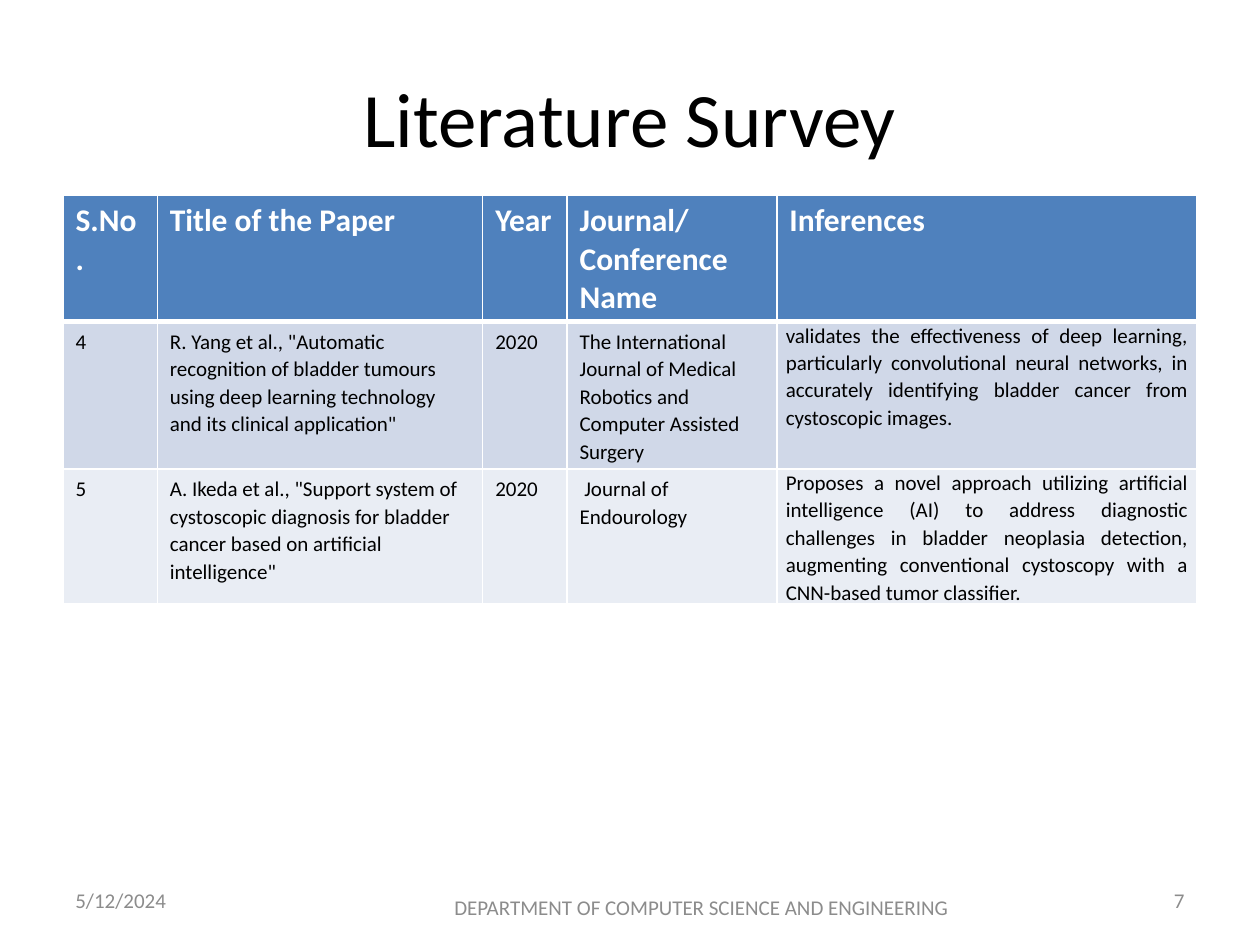
from lxml import etree
from pptx import Presentation
from pptx import util as u
from pptx.dml.color import RGBColor
from pptx.enum import text
from pptx.oxml.ns import qn

FONT = "Calibri"
LEFT, CENTER, RIGHT, JUSTIFY = (
    text.PP_ALIGN.LEFT, text.PP_ALIGN.CENTER, text.PP_ALIGN.RIGHT, text.PP_ALIGN.JUSTIFY)

TEXT_BOXES = [
    ("Literature Survey", (1.27, 0.76, 22.86, 3.18), 44, "000000", CENTER),
    ("DEPARTMENT OF COMPUTER SCIENCE AND ENGINEERING ", (8.69, 17.78, 11, 1.01), 12, "8C8C8C", CENTER),
    ("5/12/2024", (1.27, 17.65, 5.93, 1.01), 12, "8C8C8C", LEFT),
    ("7", (18.2, 17.65, 5.93, 1.01), 12, "8C8C8C", RIGHT),
]

HEADINGS = ["S.No.", "Title of the Paper", "Year", "Journal/Conference Name", "Inferences"]
PAPERS = [
    ["4",
     'R. Yang et al., "Automatic recognition of bladder tumours using deep learning technology '
     'and its clinical application"',
     "2020",
     "The International Journal of Medical Robotics and Computer Assisted Surgery",
     "validates the effectiveness of deep learning, particularly convolutional neural networks, "
     "in accurately identifying bladder cancer from cystoscopic images."],
    ["5",
     'A. Ikeda et al., "Support system of cystoscopic diagnosis for bladder cancer based on '
     'artificial intelligence"',
     "2020",
     " Journal of Endourology",
     "Proposes a novel approach utilizing artificial intelligence (AI) to address diagnostic "
     "challenges in bladder neoplasia detection, augmenting conventional cystoscopy with a "
     "CNN-based tumor classifier."],
]
COLUMN_WIDTHS = [1.9, 6.56, 1.7, 4.23, 8.47]
COLUMN_ALIGNMENTS = [JUSTIFY, LEFT, JUSTIFY, LEFT, JUSTIFY]
ROW_HEIGHTS = [1.68, 2.77, 2.54]
ROW_FILLS = ["4F81BD", "D0D8E8", "E9EDF4"]


def color(value):
    return RGBColor.from_string(value)


def style_runs(paragraph, size, value, bold=False):
    for run in paragraph.runs:
        run.font.name = FONT
        run.font.size = u.Pt(size)
        run.font.bold = bold
        run.font.color.rgb = color(value)


def add_text_box(slide, words, place, size, value, alignment):
    shape = slide.shapes.add_textbox(*map(u.Cm, place))
    frame = shape.text_frame
    frame.text = words
    frame.word_wrap = True
    frame.vertical_anchor = text.MSO_ANCHOR.MIDDLE
    frame.paragraphs[0].alignment = alignment
    style_runs(frame.paragraphs[0], size, value)


def set_borders(cell, bottom_width, top_width):
    properties = cell._tc.get_or_add_tcPr()
    widths = {"a:lnL": 1, "a:lnR": 1, "a:lnT": top_width, "a:lnB": bottom_width}
    for index, (side, width) in enumerate(widths.items()):
        line = etree.Element(qn(side), w=str(u.Pt(width)))
        fill = etree.SubElement(line, qn("a:solidFill"))
        etree.SubElement(fill, qn("a:srgbClr"), val="FFFFFF")
        properties.insert(index, line)


def add_survey_table(slide):
    rows = [HEADINGS] + PAPERS
    frame = slide.shapes.add_table(
        len(rows), len(HEADINGS), u.Cm(1.27), u.Cm(3.94),
        u.Cm(sum(COLUMN_WIDTHS)), u.Cm(sum(ROW_HEIGHTS)))
    table = frame.table
    for column, width in zip(table.columns, COLUMN_WIDTHS):
        column.width = u.Cm(width)
    for row, height in zip(table.rows, ROW_HEIGHTS):
        row.height = u.Cm(height)
    for r, row in enumerate(rows):
        for c, words in enumerate(row):
            cell = table.cell(r, c)
            cell.text_frame.text = words
            cell.fill.solid()
            cell.fill.fore_color.rgb = color(ROW_FILLS[r])
            set_borders(cell, 3 if r == 0 else 1, 3 if r == 1 else 1)
            paragraph = cell.text_frame.paragraphs[0]
            if r == 0:
                style_runs(paragraph, 18, "FFFFFF", True)
                continue
            paragraph.alignment = COLUMN_ALIGNMENTS[c]
            paragraph.line_spacing = 1.07
            paragraph.space_after = u.Pt(8)
            style_runs(paragraph, 12, "000000")
            if c == len(row) - 1:
                cell.margin_left = cell.margin_right = u.Cm(0.18)
                cell.margin_top = cell.margin_bottom = 0


def main():
    presentation = Presentation()
    presentation.slide_width, presentation.slide_height = u.Cm(25.4), u.Cm(19.05)
    slide = presentation.slides.add_slide(presentation.slide_layouts[6])
    for box in TEXT_BOXES:
        add_text_box(slide, *box)
    add_survey_table(slide)
    presentation.save("out.pptx")


if __name__ == "__main__":
    main()
